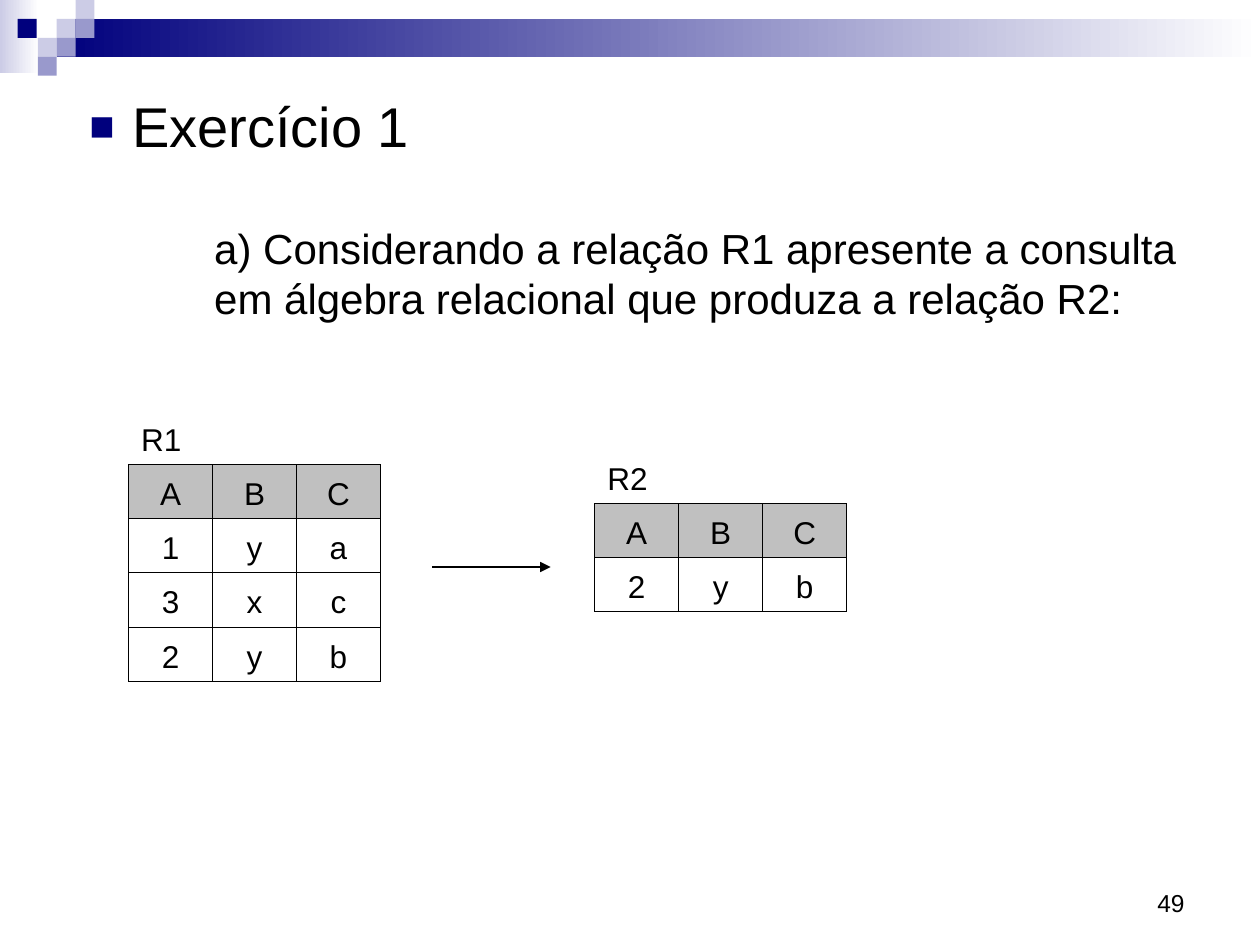
from lxml.etree import SubElement as Sub
from pptx import Presentation
from pptx.dml.color import RGBColor
from pptx.enum.shapes import MSO_CONNECTOR as Line, MSO_SHAPE as Shape
from pptx.enum.text import MSO_ANCHOR as Anchor, PP_ALIGN as Align
from pptx.oxml.ns import qn
from pptx.util import Inches, Pt

NAVY, MID, PALE = "00007D", "9999CC", "CCCCE6"
BLACK, WHITE, GREY = "000000", "FFFFFF", "C0C0C0"


def rgb(color):
    return RGBColor.from_string(color)


def style(para, size, align=Align.LEFT):
    para.alignment = align
    for run in para.runs:
        run.font.name = "Arial"
        run.font.size = Pt(size)
        run.font.color.rgb = rgb(BLACK)


deck = Presentation()
deck.slide_width, deck.slide_height = Inches(10), Inches(7.5)
slide = deck.slides.add_slide(deck.slide_layouts[1])
shapes = slide.shapes
title = shapes.title.element
title.getparent().remove(title)

# Header bars and mosaic: left, top, width, height, colours
side = 0.15
bars = [(0, 0, 0.31, 0.58, (PALE, WHITE)), (0.45, 0.15, 9.55, 0.3, (NAVY, WHITE))]
tiles = [
    (0.45, 0.15, PALE), (0.6, 0, PALE), (0.6, 0.15, MID), (0.3, 0.3, PALE),
    (0.14, 0.15, NAVY), (0.45, 0.3, MID), (0.3, 0.45, MID),
]
bars += [(x, y, side, side, (color,)) for x, y, color in tiles]
for *box, colors in bars:
    bar = shapes.add_shape(Shape.RECTANGLE, *map(Inches, box))
    bar.shadow.inherit = False
    bar.line.fill.background()
    if len(colors) == 1:
        bar.fill.solid()
        bar.fill.fore_color.rgb = rgb(colors[0])
    else:
        bar.fill.gradient()
        bar.fill.gradient_angle = 0
        for stop, color in zip(bar.fill.gradient_stops, colors):
            stop.color.rgb = rgb(color)

# Exercise text
body = slide.placeholders[1]
body.left, body.top, body.width, body.height = map(Inches, (0.5, 0.68, 9.19, 2.13))
frame = body.text_frame
frame.text = (
    "Exercício 1\n"
    "a) Considerando a relação R1 apresente a consulta "
    "em álgebra relacional que produza a relação R2:"
)
rules = [(32, 4, 0.45, -0.34), (24, 36, 1.1, 0)]
for para, (size, gap, left, indent) in zip(frame.paragraphs, rules):
    style(para, size)
    para.space_before = Pt(gap)
    props = para._p.get_or_add_pPr()
    props.set("marL", str(Inches(left)))
    props.set("indent", str(Inches(indent)))
    if indent:
        Sub(Sub(props, qn("a:buClr")), qn("a:srgbClr"), val=NAVY)
        Sub(props, qn("a:buSzPct"), val="75000")
        Sub(props, qn("a:buFont"), typeface="Arial")
        Sub(props, qn("a:buChar"), char="■")
    else:
        Sub(props, qn("a:buNone"))

# Relations: the name row has no frame, the header row is grey
relations = [
    (4.72, 3.59, ["R2", "ABC", "2yb"]),
    (1.02, 3.28, ["R1", "ABC", "1ya", "3xc", "2yb"]),
]
for left, top, (name, *rows) in relations:
    count = len(rows) + 1
    box = map(Inches, (left, top, 2, 0.4 + 0.43 * len(rows)))
    table = shapes.add_table(count, 3, *box).table
    table.first_row = table.horz_banding = False
    for r, values in enumerate([[name, "", ""], *rows]):
        table.rows[r].height = Inches(0.43 if r else 0.4)
        for c, value in enumerate(values):
            cell = table.cell(r, c)
            cell.text = value
            cell.vertical_anchor = Anchor.BOTTOM
            style(cell.text_frame.paragraphs[0], 18, Align.CENTER if r else Align.LEFT)
            for edge in "LRTB":
                line = Sub(cell._tc.get_or_add_tcPr(), qn("a:ln" + edge), w=str(Pt(0.45)))
                if r or edge == "B":
                    Sub(Sub(line, qn("a:solidFill")), qn("a:srgbClr"), val=BLACK)
                else:
                    Sub(line, qn("a:noFill"))
            if r == 1:
                cell.fill.solid()
                cell.fill.fore_color.rgb = rgb(GREY)
            else:
                cell.fill.background()

# Arrow from R1 to R2
arrow = shapes.add_connector(Line.STRAIGHT, *map(Inches, (3.43, 4.5, 4.37, 4.5)))
arrow.line.color.rgb = rgb(BLACK)
arrow.line.width = Pt(0.75)
Sub(arrow.line._get_or_add_ln(), qn("a:tailEnd"), type="triangle")
Sub(arrow._element.spPr, qn("a:effectLst"))

# Page number
page = shapes.add_textbox(*map(Inches, (7.17, 6.83, 2.33, 0.5))).text_frame
page.word_wrap = True
page.vertical_anchor = Anchor.BOTTOM
page.text = "49"
style(page.paragraphs[0], 14, Align.RIGHT)

deck.save("out.pptx")
